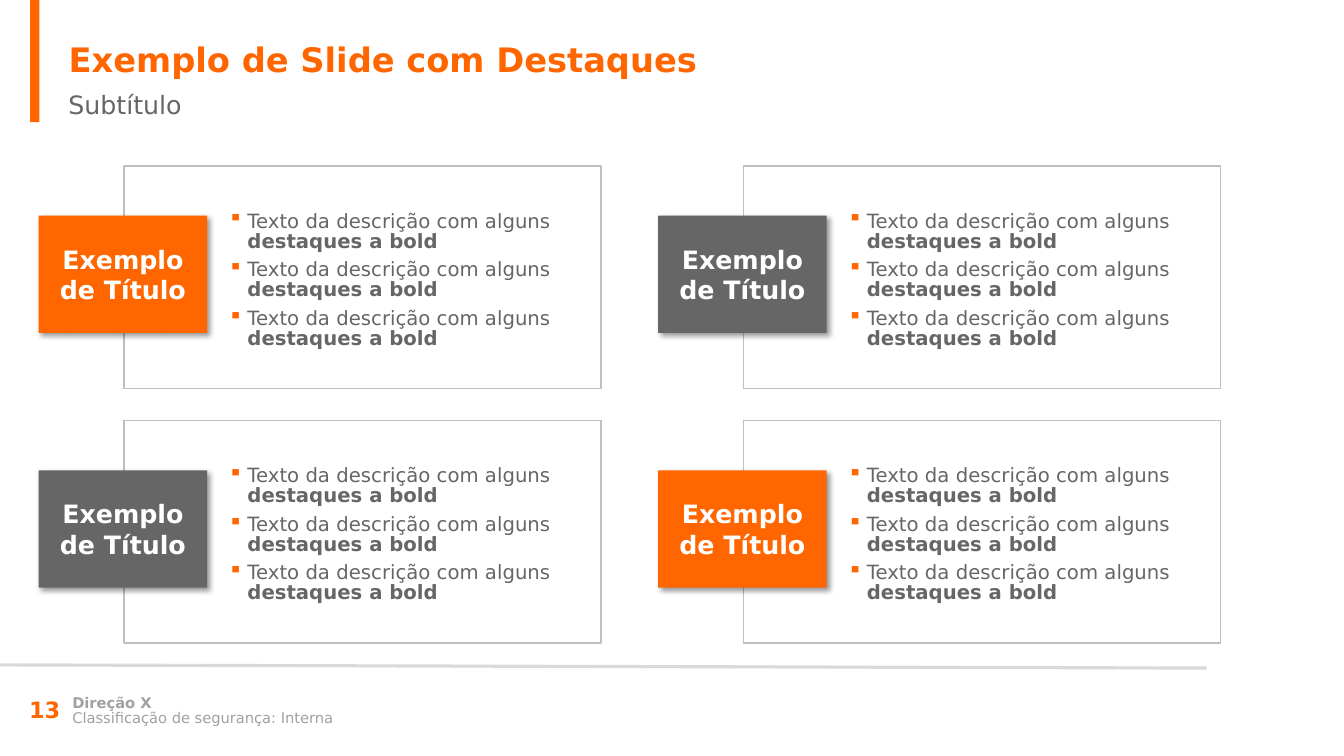
from dataclasses import dataclass
from lxml import etree
from pptx import Presentation
from pptx.dml.color import RGBColor
from pptx.enum.shapes import MSO_CONNECTOR, MSO_SHAPE
from pptx.enum.text import MSO_ANCHOR, MSO_AUTO_SIZE, PP_ALIGN
from pptx.oxml.ns import qn
from pptx.util import Cm, Pt

RECT = MSO_SHAPE.RECTANGLE
LINE = MSO_CONNECTOR.STRAIGHT
TOP, MIDDLE = MSO_ANCHOR.TOP, MSO_ANCHOR.MIDDLE
LEFT, CENTER = PP_ALIGN.LEFT, PP_ALIGN.CENTER
FIXED = MSO_AUTO_SIZE.NONE


@dataclass(frozen=True)
class Theme:
    font: str = "DejaVu Sans"
    orange: str = "FF6600"
    gray: str = "666666"
    white: str = "FFFFFF"
    muted: str = "A1A1A1"
    frame: str = "BFBFBF"
    rule: str = "D9D9D9"
    title: int = 24
    head: int = 18
    page: int = 16
    body: int = 14
    foot: float = 10.5


theme = Theme()


def color(code):
    return RGBColor.from_string(code)


def write(shape, lines, size, code, bold=False, anchor=MIDDLE, align=LEFT):
    """Each line is plain text, or a pair of plain and bold text."""
    frame = shape.text_frame
    frame.word_wrap = True
    frame.auto_size = FIXED
    frame.vertical_anchor = anchor
    for i, line in enumerate(lines):
        para = frame.add_paragraph() if i else frame.paragraphs[0]
        parts = (line,) if isinstance(line, str) else line
        para.text = parts[0]
        for part in parts[1:]:
            para.add_run().text = part
        para.alignment = align
        for j, run in enumerate(para.runs):
            run.font.name = theme.font
            run.font.size = Pt(size)
            run.font.color.rgb = color(code)
            run.font.bold = bold or j > 0
    return frame.paragraphs


deck = Presentation()
deck.slide_width, deck.slide_height = Cm(33.78), Cm(19)
slide = deck.slides.add_slide(deck.slide_layouts[5])
shapes = slide.shapes

# Title and subtitle
title = shapes.title
title.left, title.top, title.width, title.height = Cm(1.47), Cm(0.86), Cm(31.55), Cm(1.27)
write(title, ["Exemplo de Slide com Destaques"], theme.title, theme.orange, True, TOP)
sub = shapes.add_textbox(Cm(1.47), Cm(2.13), Cm(31.55), Cm(1.02))
write(sub, ["Subtítulo"], theme.head, theme.gray, anchor=TOP)

# Accent bar
bar = shapes.add_shape(RECT, Cm(0.76), Cm(0), Cm(0.23), Cm(3.07))
bar.shadow.inherit = False
bar.fill.solid()
bar.fill.fore_color.rgb = color(theme.orange)
bar.line.fill.background()

# Footer
rule = shapes.add_connector(LINE, Cm(0), Cm(16.71), Cm(30.33), Cm(16.79))
rule.line.color.rgb = color(theme.rule)
rule.line.width = Pt(2.25)
etree.SubElement(rule._element.spPr, qn("a:effectLst"))
for y, text, bold in ((17.37, "Direção X", True),
                      (17.75, "Classificação de segurança: Interna", False)):
    foot = shapes.add_textbox(Cm(1.57), Cm(y), Cm(19.13), Cm(0.64))
    for para in write(foot, [text], theme.foot, theme.muted, bold):
        para.line_spacing = 0.85
page = shapes.add_textbox(Cm(0.48), Cm(17.32), Cm(1.75), Cm(1.02))
write(page, ["13"], theme.page, theme.orange, True)

# Cards in a two by two grid, with alternating badge colours
points = [("Texto da descrição com alguns ", "destaques a bold")] * 3
for col in range(2):
    for row in range(2):
        x, y = 0.97 + 15.57 * col, 4.17 + 6.4 * row

        # Frame
        card = shapes.add_shape(RECT, Cm(x + 2.15), Cm(y), Cm(11.99), Cm(5.59))
        card.shadow.inherit = False
        card.fill.background()
        card.line.color.rgb = color(theme.frame)
        card.line.width = Pt(1)

        # Bulleted text
        box = shapes.add_textbox(Cm(x + 4.52), Cm(y + 0.56), Cm(9.4), Cm(4.65))
        for para in write(box, points, theme.body, theme.gray):
            para.line_spacing = 0.85
            para.space_after = Pt(6)
            props = para._p.get_or_add_pPr()
            props.set("marL", str(Cm(0.48)))
            props.set("indent", str(-Cm(0.48)))
            tint = etree.SubElement(props, qn("a:buClr"))
            etree.SubElement(tint, qn("a:srgbClr"), val=theme.orange)
            etree.SubElement(props, qn("a:buChar"), char="▪")

        # Badge with a soft shadow
        badge = shapes.add_shape(RECT, Cm(x), Cm(y + 1.25), Cm(4.24), Cm(2.95))
        badge.fill.solid()
        badge.fill.fore_color.rgb = color(theme.gray if (col + row) % 2 else theme.orange)
        badge.line.fill.background()
        badge.shadow.inherit = False
        glow = etree.SubElement(
            badge._element.spPr.find(qn("a:effectLst")), qn("a:outerShdw"),
            blurRad=str(Pt(4)), dist=str(Pt(3)), dir="2700000", algn="tl", rotWithShape="0")
        shade = etree.SubElement(glow, qn("a:srgbClr"), val="000000")
        etree.SubElement(shade, qn("a:alpha"), val="40000")
        write(badge, ["Exemplo de Título"], theme.head, theme.white, True, align=CENTER)

deck.save("out.pptx")
